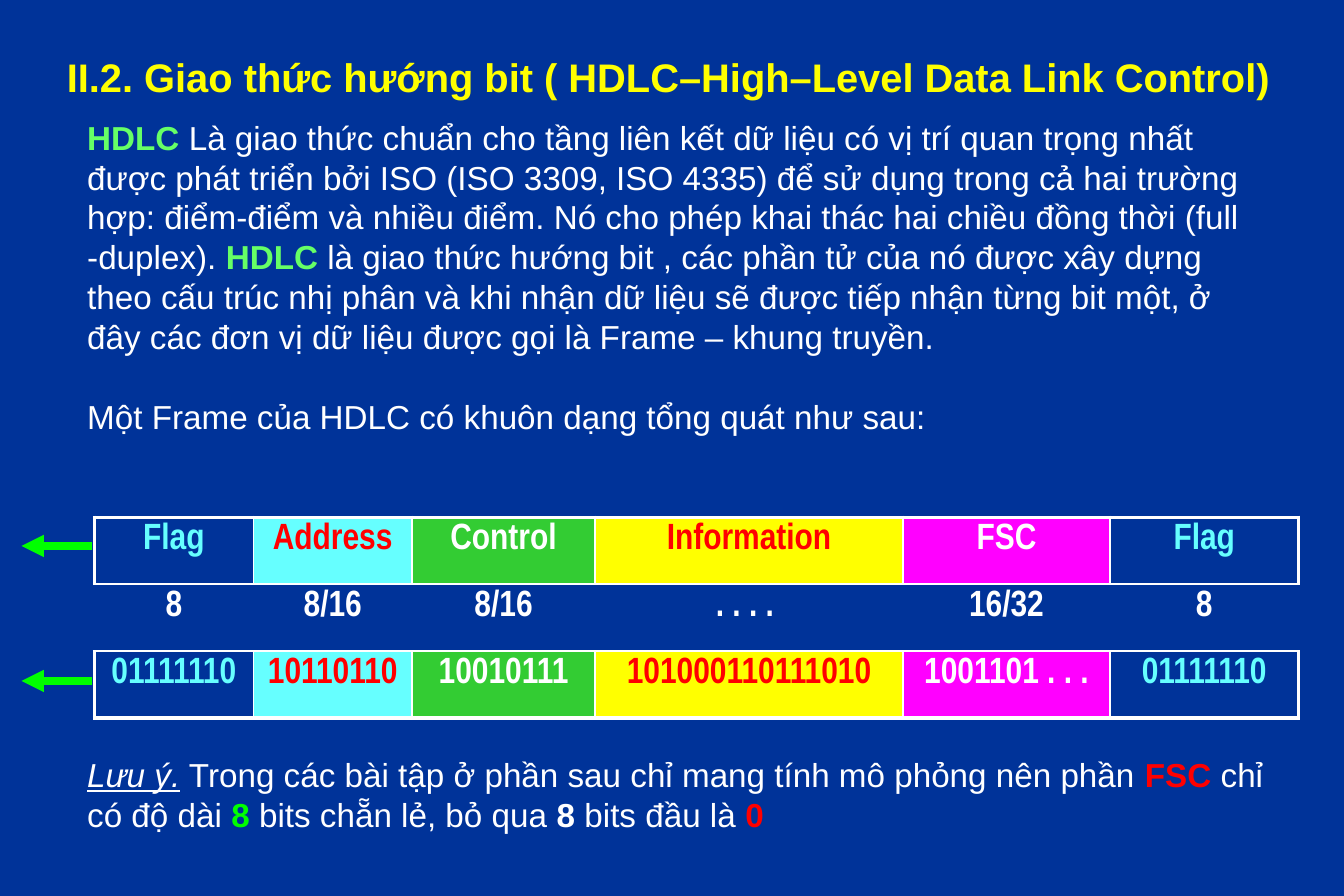
import dataclasses

import lxml.etree
import pptx
import pptx.dml.color
import pptx.enum.shapes
import pptx.enum.text
import pptx.oxml.ns
import pptx.util

Inches = pptx.util.Inches
Pt = pptx.util.Pt


@dataclasses.dataclass(frozen=True)
class Theme:
    navy: str = "003399"
    white: str = "FFFFFF"
    yellow: str = "FFFF00"
    mint: str = "66FF66"
    lime: str = "00FF00"
    green: str = "33CC33"
    cyan: str = "66FFFF"
    magenta: str = "FF00FF"
    red: str = "FF0000"
    text_font: str = "Arial"
    table_font: str = "Arial Narrow"
    title_size: int = 24
    body_size: int = 20
    table_size: int = 22
    body_line: int = 24
    thick: float = 2.25
    thin: float = 1
    arrow: float = 4.5


def color(value):
    return pptx.dml.color.RGBColor.from_string(value)


def add_element(parent, tag, **attributes):
    return lxml.etree.SubElement(parent, pptx.oxml.ns.qn(tag), attributes)


class FrameSlide:
    def __init__(self, presentation, theme):
        self.theme = theme
        self.slide = presentation.slides.add_slide(presentation.slide_layouts[1])
        fill = self.slide.background.fill
        fill.solid()
        fill.fore_color.rgb = color(theme.navy)

    def add_run(self, paragraph, text, size, ink, bold=False, italic=False, name=None):
        run = paragraph.add_run()
        run.text = text
        font = run.font
        font.name = name or self.theme.text_font
        font.size = Pt(size)
        font.color.rgb = color(ink)
        font.bold = bold
        font.italic = italic
        font.underline = italic

    def place(self, shape, left, top, width, height):
        shape.left, shape.top = Inches(left), Inches(top)
        shape.width, shape.height = Inches(width), Inches(height)
        frame = shape.text_frame
        frame.word_wrap = True
        frame.auto_size = pptx.enum.text.MSO_AUTO_SIZE.NONE
        frame.vertical_anchor = pptx.enum.text.MSO_ANCHOR.TOP
        return frame

    def title(self, text, *box):
        paragraph = self.place(self.slide.shapes.title, *box).paragraphs[0]
        paragraph.alignment = pptx.enum.text.PP_ALIGN.LEFT
        paragraph.line_spacing = 0.7
        paragraph.space_before = Pt(0)
        self.add_run(paragraph, text, self.theme.title_size, self.theme.yellow, bold=True)

    def body(self, paragraphs, *box):
        frame = self.place(self.slide.placeholders[1], *box)
        for index, (blank_lines, runs) in enumerate(paragraphs):
            paragraph = frame.add_paragraph() if index else frame.paragraphs[0]
            properties = paragraph._p.get_or_add_pPr()
            properties.set("marL", "0")
            properties.set("indent", "0")
            add_element(properties, "a:buNone")
            paragraph.alignment = pptx.enum.text.PP_ALIGN.LEFT
            paragraph.line_spacing = Pt(self.theme.body_line)
            paragraph.space_before = Pt(blank_lines * self.theme.body_line)
            for text, ink, bold, italic in runs:
                self.add_run(paragraph, text, self.theme.body_size, ink, bold, italic)

    def border(self, cell, side, width):
        properties = cell._tc.get_or_add_tcPr()
        line = add_element(properties, f"a:ln{side}", w=str(Pt(width)))
        if width:
            fill = add_element(line, "a:solidFill")
            add_element(fill, "a:srgbClr", val=self.theme.white)
        else:
            add_element(line, "a:noFill")

    def table(self, rows, columns, row_height, left, top):
        theme = self.theme
        widths = [width for width, _, _ in columns]
        table = self.slide.shapes.add_table(
            len(rows), len(columns), Inches(left), Inches(top),
            Inches(sum(widths)), Inches(row_height * len(rows))).table
        table.first_row = False
        table.horz_banding = False
        last_row, last_column = len(rows) - 1, len(columns) - 1
        for column, width in zip(table.columns, widths):
            column.width = Inches(width)
        for row_index, texts in enumerate(rows):
            table.rows[row_index].height = Inches(row_height)
            is_field = row_index in (0, last_row)
            for column_index, text in enumerate(texts):
                _, fill, ink = columns[column_index]
                cell = table.cell(row_index, column_index)
                cell.margin_top = cell.margin_bottom = Inches(0.05)
                cell.vertical_anchor = pptx.enum.text.MSO_ANCHOR.TOP
                edges = {"L": column_index == 0, "R": column_index == last_column,
                         "T": row_index == 0, "B": row_index == last_row}
                for side, outer in edges.items():
                    width = theme.thick if outer else theme.thin
                    self.border(cell, side, width if is_field or side in "TB" else 0)
                if is_field and fill:
                    cell.fill.solid()
                    cell.fill.fore_color.rgb = color(fill)
                else:
                    cell.fill.background()
                paragraph = cell.text_frame.paragraphs[0]
                paragraph.alignment = pptx.enum.text.PP_ALIGN.CENTER
                self.add_run(paragraph, text, theme.table_size,
                             ink if is_field else theme.white,
                             bold=True, name=theme.table_font)

    def arrow(self, left, right, y):
        connector = self.slide.shapes.add_connector(
            pptx.enum.shapes.MSO_CONNECTOR.STRAIGHT,
            Inches(left), Inches(y), Inches(right), Inches(y))
        connector.line.color.rgb = color(self.theme.lime)
        connector.line.width = Pt(self.theme.arrow)
        add_element(connector.line._get_or_add_ln(), "a:headEnd", type="triangle")
        add_element(connector._element.spPr, "a:effectLst")


def main():
    theme = Theme()
    presentation = pptx.Presentation()
    presentation.slide_width = Inches(11.25)
    presentation.slide_height = Inches(7.5)
    slide = FrameSlide(presentation, theme)

    slide.title("II.2. Giao thức hướng bit ( HDLC–High–Level Data Link Control)",
                0.46, 0.5, 10.42, 0.39)
    slide.body([
        (0, [
            ("HDLC ", theme.mint, True, False),
            ("Là giao thức chuẩn cho tầng liên kết dữ liệu có vị trí quan trọng nhất "
             "được phát triển bởi ISO (ISO 3309, ISO 4335) để sử dụng trong cả hai "
             "trường hợp: điểm-điểm và nhiều điểm. Nó cho phép khai thác hai chiều "
             "đồng thời (full -duplex). ", theme.white, False, False),
            ("HDLC", theme.mint, True, False),
            (" là giao thức hướng bit , các phần tử của nó được xây dựng theo cấu "
             "trúc nhị phân và khi nhận dữ liệu sẽ được tiếp nhận từng bit một, ở "
             "đây các đơn vị dữ liệu được gọi là Frame – khung truyền.",
             theme.white, False, False),
        ]),
        (1, [("Một Frame của HDLC có khuôn dạng tổng quát như sau:",
              theme.white, False, False)]),
        (8, [
            ("Lưu ý.", theme.white, False, True),
            (" Trong các bài tập ở phần sau chỉ mang tính mô phỏng nên phần ",
             theme.white, False, False),
            ("FSC ", theme.red, True, False),
            ("chỉ có độ dài ", theme.white, False, False),
            ("8", theme.lime, True, False),
            (" bits chẵn lẻ, bỏ qua ", theme.white, False, False),
            ("8", theme.white, True, False),
            (" bits đầu là ", theme.white, False, False),
            ("0", theme.red, True, False),
        ]),
    ], 0.63, 0.93, 10.1, 6.16)
    slide.table(
        [["Flag", "Address", "Control", "Information", "FSC", "Flag"],
         ["8", "8/16", "8/16", ". . . . ", "16/32", "8"],
         ["01111110", "10110110", "10010111", "101000110111010",
          "1001101 . . .", "01111110"]],
        [(1.33, None, theme.cyan), (1.33, theme.cyan, theme.red),
         (1.53, theme.green, theme.white), (2.58, theme.yellow, theme.red),
         (1.73, theme.magenta, theme.white), (1.58, None, theme.cyan)],
        0.56, 0.79, 4.33)
    for y in (4.57, 5.7):
        slide.arrow(0.18, 0.77, y)

    presentation.save("out.pptx")


if __name__ == "__main__":
    main()
